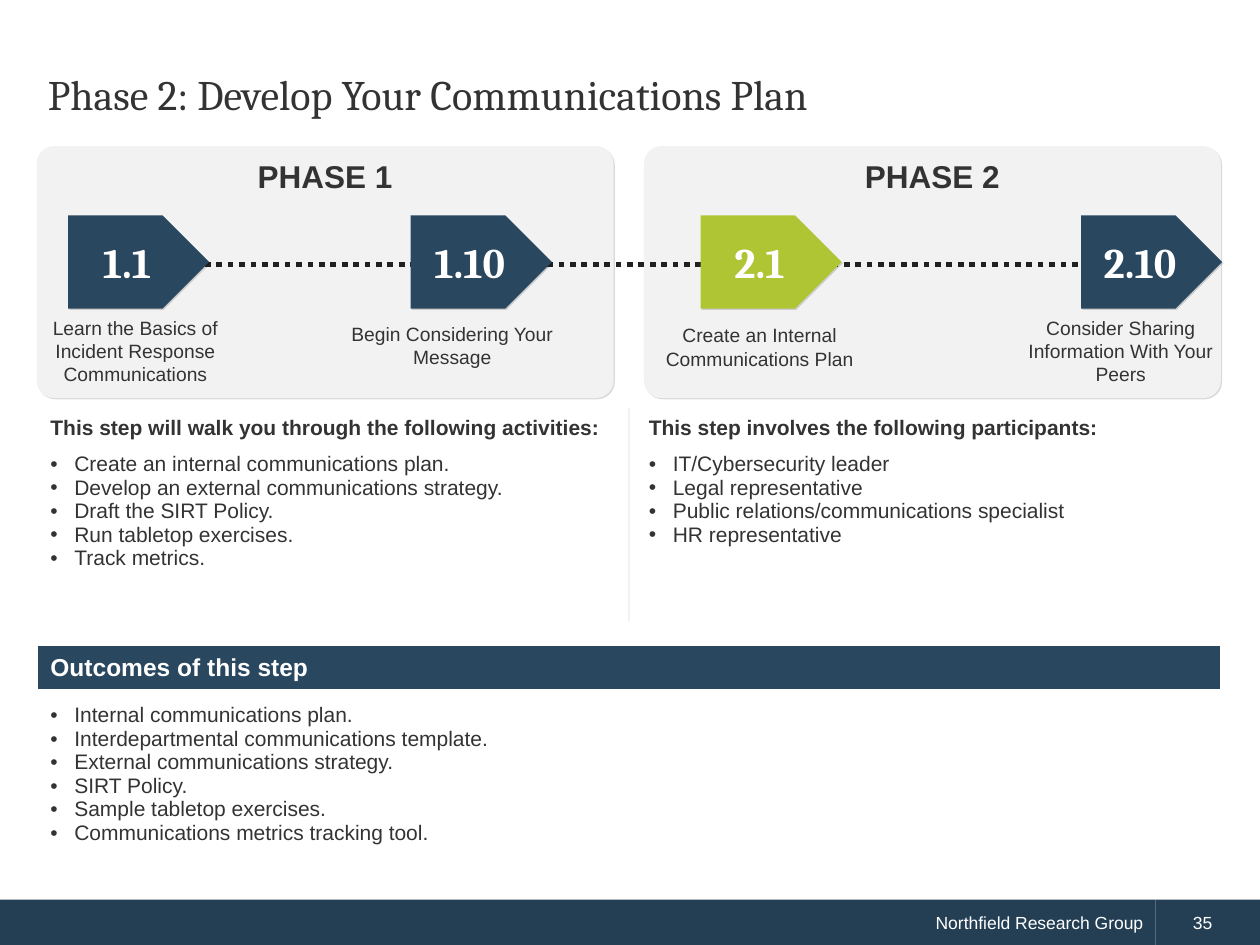
import pptx
import pptx.util
import pptx.dml.color
import pptx.enum.dml
import pptx.enum.shapes
import pptx.enum.text
import pptx.oxml
import pptx.oxml.ns
from lxml import etree

Inches, Pt = pptx.util.Inches, pptx.util.Pt
RGBColor = pptx.dml.color.RGBColor
MSO_SHAPE = pptx.enum.shapes.MSO_SHAPE
PP_ALIGN = pptx.enum.text.PP_ALIGN
MSO_ANCHOR = pptx.enum.text.MSO_ANCHOR
qn = pptx.oxml.ns.qn
NS = pptx.oxml.ns.nsdecls("a")

TEXT = RGBColor(0x33, 0x33, 0x33)
WHITE = RGBColor(0xFF, 0xFF, 0xFF)
PANEL = RGBColor(0xF2, 0xF2, 0xF2)
NAVY = RGBColor(0x29, 0x47, 0x5F)
GREEN = RGBColor(0xB0, 0xC5, 0x34)
FOOTER = RGBColor(0x24, 0x3F, 0x54)
DOTS = RGBColor(0x21, 0x21, 0x21)

SHADOW = (f'<a:effectLst {NS}><a:outerShdw dist="12700" dir="2700000" algn="tl" rotWithShape="0">'
          '<a:srgbClr val="000000"><a:alpha val="14000"/></a:srgbClr></a:outerShdw></a:effectLst>')


def add_run(p, text, size, color=TEXT, bold=False, font="Arial"):
    r = p.add_run()
    r.text = text
    r.font.name, r.font.size, r.font.bold = font, Pt(size), bold
    r.font.color.rgb = color


def add_block(kind, left, top, width, height, fill, shadow=True):
    """Add a filled shape without outline, with a faint shadow if wanted."""
    s = slide.shapes.add_shape(kind, Inches(left), Inches(top), Inches(width), Inches(height))
    s.fill.solid()
    s.fill.fore_color.rgb = fill
    s.line.fill.background()
    s.shadow.inherit = False
    if shadow:
        effects = s._element.spPr.find(qn("a:effectLst"))
        s._element.spPr.replace(effects, pptx.oxml.parse_xml(SHADOW))
    return s


prs = pptx.Presentation()
prs.slide_width, prs.slide_height = Inches(10), Inches(7.5)
slide = prs.slides.add_slide(prs.slide_layouts[5])

# Footer
for left, width, indent, align, text in [
    (0, 9.17, 0.29, PP_ALIGN.RIGHT, "Northfield Research Group"),
    (9.17, 0.83, 0.2, PP_ALIGN.LEFT, "35"),
]:
    s = add_block(MSO_SHAPE.RECTANGLE, left, 7.14, width, 0.37, FOOTER, shadow=False)
    p = s.text_frame.paragraphs[0]
    p.alignment = align
    p._p.get_or_add_pPr().set("marL", str(Inches(indent)))
    add_run(p, text, 10, WHITE)

# Title
title = slide.shapes.title
title.left, title.top, title.width, title.height = Inches(0.28), Inches(0.29), Inches(9.43), Inches(0.94)
tf = title.text_frame
tf.vertical_anchor = MSO_ANCHOR.MIDDLE
p = tf.paragraphs[0]
p.alignment = PP_ALIGN.LEFT
p.line_spacing = Pt(26)
add_run(p, "Phase 2: Develop Your Communications Plan", 24, font="Cambria")

# Phase panels
for left, name in [(0.29, "PHASE 1"), (5.11, "PHASE 2")]:
    s = add_block(MSO_SHAPE.ROUNDED_RECTANGLE, left, 1.16, 4.58, 2, PANEL)
    s.adjustments[0] = 0.07
    s.text_frame.vertical_anchor = MSO_ANCHOR.TOP
    p = s.text_frame.paragraphs[0]
    p.alignment = PP_ALIGN.CENTER
    add_run(p, name, 18, bold=True)

# Dotted path behind the steps
path = slide.shapes.add_connector(pptx.enum.shapes.MSO_CONNECTOR.STRAIGHT,
                                  Inches(9.64), Inches(2.1), Inches(1.07), Inches(2.1))
path.line.color.rgb = DOTS
path.line.width = Pt(3.25)
path.line.dash_style = pptx.enum.dml.MSO_LINE.ROUND_DOT
etree.SubElement(path._element.spPr, qn("a:effectLst"))

# Steps: number, arrow left, colour, then label left, top, width, height and text
steps = [
    ("1.1", 0.54, NAVY, 0.25, 2.46, 1.65, 0.66, "Learn the Basics of Incident Response Communications"),
    ("1.10", 3.26, NAVY, 2.49, 2.51, 2.2, 0.47, "Begin Considering Your Message"),
    ("2.1", 5.56, GREEN, 5.15, 2.52, 1.76, 0.47, "Create an Internal Communications Plan"),
    ("2.10", 8.58, NAVY, 8.04, 2.46, 1.71, 0.66, "Consider Sharing Information With Your Peers"),
]
for number, arrow_left, color, left, top, width, height, label in steps:
    s = add_block(MSO_SHAPE.PENTAGON, arrow_left, 1.71, 1.12, 0.74, color)
    p = s.text_frame.paragraphs[0]
    p.alignment = PP_ALIGN.CENTER
    add_run(p, number, 24, WHITE, True, "Cambria")

    tf = slide.shapes.add_textbox(Inches(left), Inches(top), Inches(width), Inches(height)).text_frame
    tf.word_wrap = True
    p = tf.paragraphs[0]
    p.alignment = PP_ALIGN.CENTER
    add_run(p, label, 11)

# Activities, participants and outcomes
row_heights = [0.29, 1.39, 0.19, 0.31, 1.48]
frame = slide.shapes.add_table(5, 2, Inches(0.3), Inches(3.24), Inches(9.38), Inches(sum(row_heights)))
table = frame.table
table.first_row = table.horz_banding = False
# "No Style, No Grid"
table._tbl.tblPr.find(qn("a:tableStyleId")).text = "{2D5ABB26-0587-4C30-8999-92F81FD0307C}"
for row, height in zip(table.rows, row_heights):
    row.height = Inches(height)
for row in (3, 4):
    table.cell(row, 0).merge(table.cell(row, 1))

headings = [
    (0, 0, "This step will walk you through the following activities:", 12, TEXT, MSO_ANCHOR.BOTTOM),
    (0, 1, "This step involves the following participants:", 12, TEXT, MSO_ANCHOR.BOTTOM),
    (3, 0, "Outcomes of this step", 14, WHITE, MSO_ANCHOR.MIDDLE),
]
for row, col, text, size, color, anchor in headings:
    cell = table.cell(row, col)
    cell.vertical_anchor = anchor
    add_run(cell.text_frame.paragraphs[0], text, size, color, True)

lists = {
    (1, 0): ["Create an internal communications plan.", "Develop an external communications strategy.",
             "Draft the SIRT Policy.", "Run tabletop exercises.", "Track metrics."],
    (1, 1): ["IT/Cybersecurity leader", "Legal representative",
             "Public relations/communications specialist", "HR representative"],
    (4, 0): ["Internal communications plan.", "Interdepartmental communications template.",
             "External communications strategy.", "SIRT Policy.", "Sample tabletop exercises.",
             "Communications metrics tracking tool."],
}
for (row, col), items in lists.items():
    tf = table.cell(row, col).text_frame
    for i, item in enumerate(items):
        p = tf.paragraphs[0] if i == 0 else tf.add_paragraph()
        pPr = p._p.get_or_add_pPr()
        pPr.set("marL", str(Inches(0.19)))
        pPr.set("indent", str(-Inches(0.19)))
        etree.SubElement(pPr, qn("a:buFont")).set("typeface", "Arial")
        etree.SubElement(pPr, qn("a:buChar")).set("char", "•")
        add_run(p, item, 12)

# Divider between the two upper columns
for row in (0, 1):
    table.cell(row, 1).margin_left = Inches(0.16)
    for col, side in enumerate(("a:lnR", "a:lnL")):
        ln = etree.SubElement(table.cell(row, col)._tc.get_or_add_tcPr(), qn(side), w=str(Pt(1.5)))
        fill = etree.SubElement(ln, qn("a:solidFill"))
        etree.SubElement(fill, qn("a:srgbClr")).set("val", str(PANEL))

# Small type keeps the empty spacer row low
for col in (0, 1):
    p = table.cell(2, col).text_frame.paragraphs[0]
    etree.SubElement(p._p, qn("a:endParaRPr")).set("sz", "600")

table.cell(4, 0).margin_top = Inches(0.12)
for row in range(5):
    for col in (0, 1):
        table.cell(row, col).fill.background()
bar = table.cell(3, 0)
bar.fill.solid()
bar.fill.fore_color.rgb = NAVY

prs.save("out.pptx")
